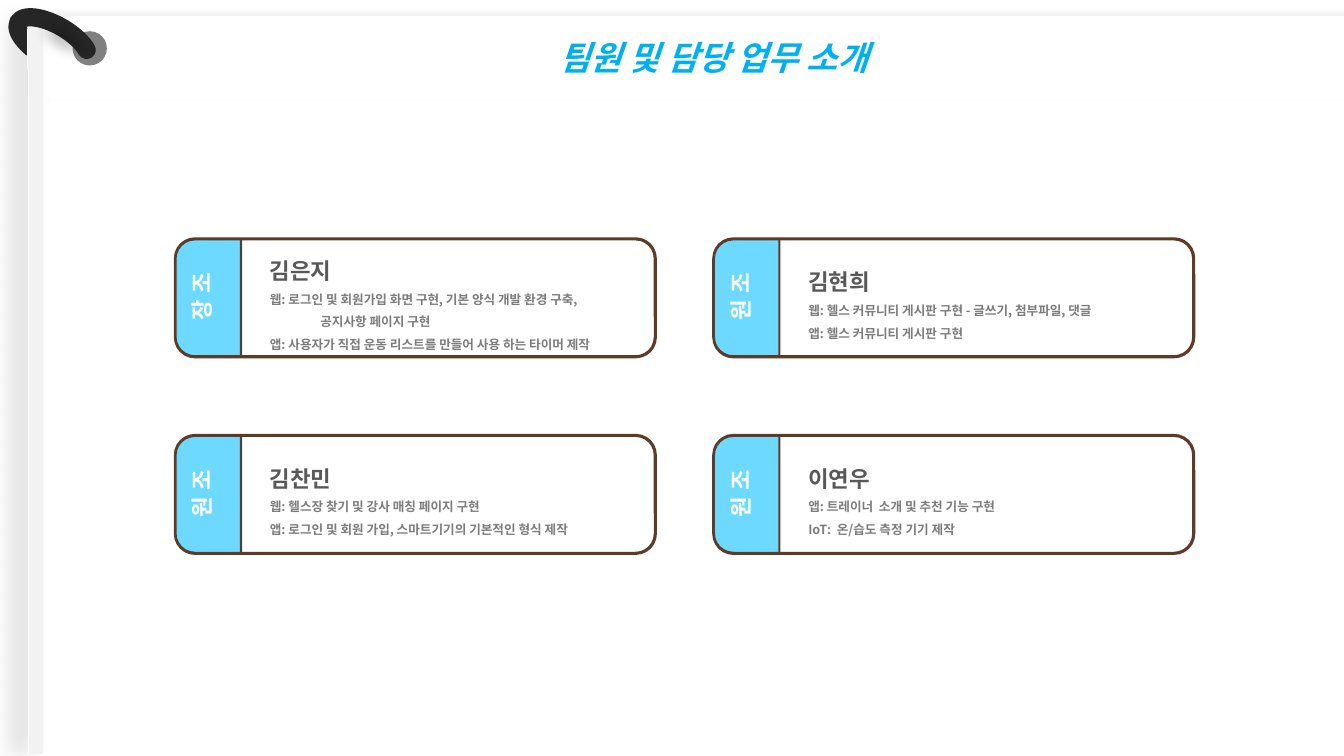
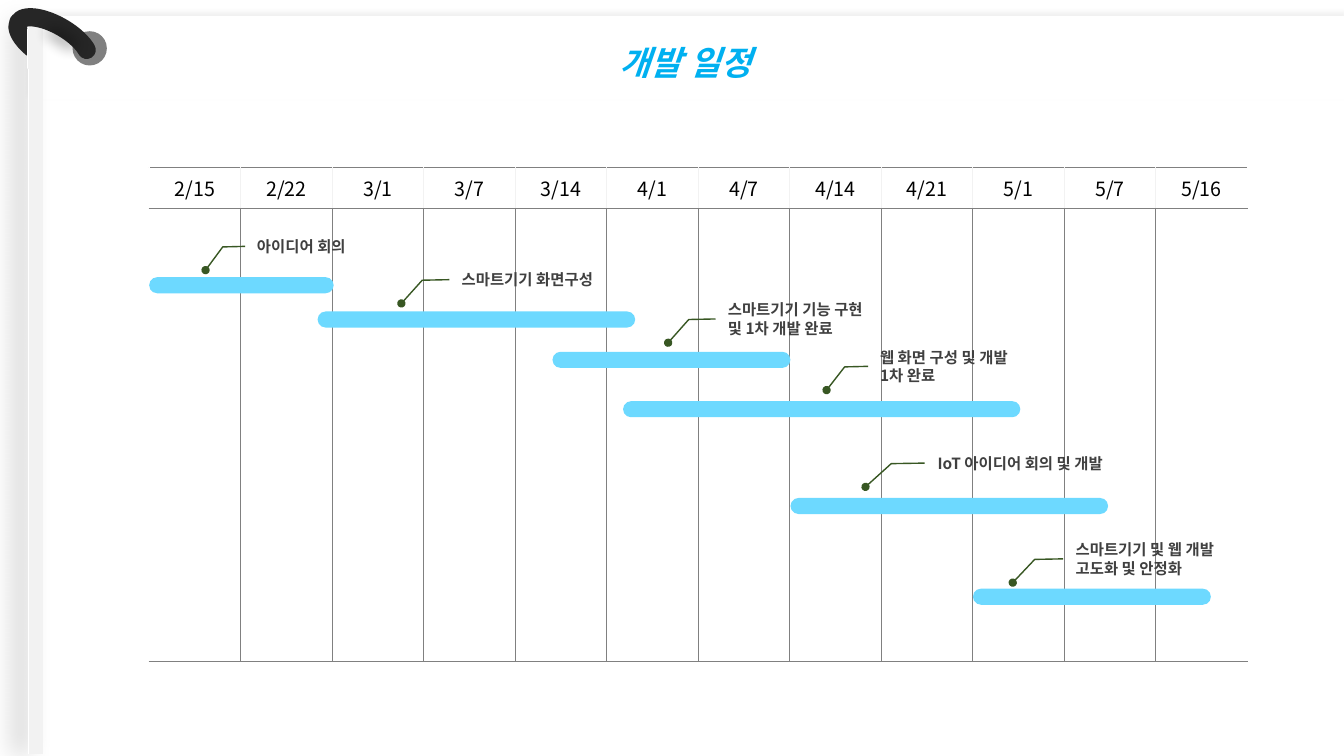
from lxml import etree
from pptx import Presentation
from pptx.dml.color import RGBColor
from pptx.enum.dml import MSO_PATTERN
from pptx.enum.shapes import MSO_SHAPE
from pptx.enum.text import MSO_ANCHOR, PP_ALIGN
from pptx.oxml.ns import qn
from pptx.util import Inches, Pt

RECT = MSO_SHAPE.RECTANGLE
OVAL = MSO_SHAPE.OVAL
ARC = MSO_SHAPE.ARC
ROUND = MSO_SHAPE.ROUNDED_RECTANGLE
ROUND_TOP = MSO_SHAPE.ROUND_2_SAME_RECTANGLE
CALLOUT = MSO_SHAPE.LINE_CALLOUT_2_NO_BORDER
STRIPES = MSO_PATTERN.DARK_VERTICAL
LEFT, CENTER = PP_ALIGN.LEFT, PP_ALIGN.CENTER
MIDDLE = MSO_ANCHOR.MIDDLE

FONT = "Noto Sans CJK KR"
WHITE, BLACK, PALE, GRAY = "FFFFFF", "000000", "F2F2F2", "808080"
TITLE, SKY, BROWN, GREEN = "00B0F0", "6DD9FF", "5E3B27", "385723"
RING, NAME, TASK, LABEL = "262626", "595959", "7C7C7C", "404040"

CARD_W, CARD_H = 4.76, 1.17
CARD_LEFT, CARD_TOP = 1.74, 2.37
CARD_DX, CARD_DY = 5.34, 1.95
MEMBERS = [
    ("조장", "김은지", ["웹: 로그인 및 회원가입 화면 구현, 기본 양식 개발 환경 구축,",
                    "\t공지사항 페이지 구현",
                    "앱: 사용자가 직접 운동 리스트를 만들어 사용 하는 타이머 제작"]),
    ("조원", "김현희", ["웹: 헬스 커뮤니티 게시판 구현 - 글쓰기, 첨부파일, 댓글",
                    "앱: 헬스 커뮤니티 게시판 구현"]),
    ("조원", "김찬민", ["웹: 헬스장 찾기 및 강사 매칭 페이지 구현",
                    "앱: 로그인 및 회원 가입, 스마트기기의 기본적인 형식 제작"]),
    ("조원", "이연우", ["앱: 트레이너  소개 및 추천 기능 구현",
                    "IoT:  온/습도 측정 기기 제작"]),
]

DATES = ["2/15", "2/22", "3/1", "3/7", "3/14", "4/1",
         "4/7", "4/14", "4/21", "5/1", "5/7", "5/16"]
CHART_BOX = (1.48, 1.66, 10.89, 4.9)
HEADER_H = 0.41
BAR_H, LABEL_H = 0.16, 0.27
LEADER = (0.499, -0.014, 0.519, -0.171, 1.372, -0.292)
STAGES = [
    ("아이디어 회의", (0, 1.09, 1.83), (0.97, 0.65, 1.41)),
    ("스마트기기 화면구성", (1.67, 1.43, 3.15), (3, 0.98, 1.71)),
    ("스마트기기 기능 구현 및 1차 개발 완료", (4, 1.83, 2.36), (5.64, 1.37, 1.69)),
    ("웹 화면 구성 및 개발 1차 완료", (4.7, 2.32, 3.94), (7.15, 1.84, 1.48)),
    ("IoT 아이디어 회의 및 개발", (6.36, 3.28, 3.15), (7.72, 2.8, 2.11)),
    ("스마트기기 및 웹 개발 고도화 및 안정화", (8.17, 4.18, 2.36), (9.09, 3.75, 1.8)),
]


def rgb(color):
    return RGBColor.from_string(color)


def add_xml(parent, tag, **attrs):
    el = etree.SubElement(parent, qn(tag))
    for key, value in attrs.items():
        el.set(key, str(value))
    return el


def add_text(p, text, size=11, color=BLACK, bold=False, italic=False,
             align=LEFT, spacing=None):
    p.alignment = align
    if spacing:
        p.line_spacing = spacing
    r = p.add_run()
    r.text = text
    f = r.font
    f.size, f.bold, f.italic, f.name = Pt(size), bold, italic, FONT
    f.color.rgb = rgb(color)
    add_xml(r._r.get_or_add_rPr(), "a:ea", typeface=FONT)


def add_box(s, kind, box, fill=None, line=None, width=1, rot=0, adj=(), stripes=False):
    sp = s.shapes.add_shape(kind, *[Inches(v) for v in box])
    sp.shadow.inherit = False
    sp.rotation = rot
    for i, value in enumerate(adj):
        sp.adjustments[i] = value
    if stripes:
        sp.fill.patterned()
        sp.fill.pattern = STRIPES
        sp.fill.fore_color.rgb = rgb(PALE)
        sp.fill.back_color.rgb = rgb(WHITE)
    elif fill:
        sp.fill.solid()
        sp.fill.fore_color.rgb = rgb(fill)
    else:
        sp.fill.background()
    if line:
        sp.line.color.rgb = rgb(line)
        sp.line.width = Pt(width)
    else:
        sp.line.fill.background()
    return sp


def effects(sp):
    return sp._element.spPr.find(qn("a:effectLst"))


def add_shadow(sp, alpha, blur, dist, angle):
    shadow = add_xml(effects(sp), "a:outerShdw", blurRad=Pt(blur), dist=Pt(dist),
                     dir=angle * 60000, algn="ctr", rotWithShape=0)
    color = add_xml(shadow, "a:srgbClr", val=BLACK)
    add_xml(color, "a:alpha", val=alpha * 1000)


def add_binder(s):
    page = add_box(s, RECT, (0.28, 0.16, 13.06, 0.83), WHITE)
    add_shadow(page, 5, 4, 3, 270)
    spine = add_box(s, RECT, (0.28, 0.2, 0.14, 7.28), stripes=True)
    add_shadow(spine, 20, 18, 11, 180)
    add_box(s, OVAL, (0.72, 0.31, 0.34, 0.34), GRAY)
    ring = add_box(s, ARC, (0.13, 0.25, 0.8, 0.34), line=RING, width=13, rot=30,
                   adj=(80.982, 205.722))
    ring.line._get_or_add_ln().set("cap", "rnd")
    add_box(s, RECT, (0.27, 0.29, 0.14, 0.39), stripes=True)
    shade = add_box(s, OVAL, (0.23, 0.13, 0.77, 0.51), BLACK, rot=22.4)
    color = shade._element.spPr.find(qn("a:solidFill"))[0]
    add_xml(color, "a:alpha", val=30000)
    add_xml(effects(shade), "a:softEdge", rad=Pt(10))


def add_slide(prs, title, box):
    s = prs.slides.add_slide(prs.slide_layouts[5])
    add_binder(s)
    sp = s.shapes.title
    s.shapes._spTree.append(sp._element)
    sp.left, sp.top, sp.width, sp.height = [Inches(v) for v in box]
    tf = sp.text_frame
    tf.word_wrap = True
    tf.vertical_anchor = MIDDLE
    add_text(tf.paragraphs[0], title, size=24, color=TITLE, bold=True,
             italic=True, align=CENTER)
    return s


def add_card(s, x, y, role, name, tasks):
    card = add_box(s, ROUND, (x, y, CARD_W, CARD_H), WHITE, BROWN, 2.25)
    tf = card.text_frame
    tf.margin_left = Inches(0.88)
    add_text(tf.paragraphs[0], name, size=16, color=NAME, bold=True, spacing=1.5)
    for task in tasks:
        add_text(tf.add_paragraph(), task, size=9, color=TASK, bold=True, spacing=1.5)
    tab_w, tab_h = 1.16, 0.65
    tab = add_box(s, ROUND_TOP,
                  (x + (tab_h - tab_w) / 2, y + (CARD_H - tab_h) / 2, tab_w, tab_h),
                  SKY, BROWN, 1.5, rot=270, adj=(0.296, 0))
    tab._element.spPr.find(qn("a:xfrm")).set("flipH", "1")
    tf = tab.text_frame
    tf._txBody.bodyPr.set("vert", "eaVert")
    add_text(tf.paragraphs[0], role, size=16, color=WHITE, bold=True, align=CENTER)


def add_border(cell, side, color):
    ln = add_xml(cell._tc.get_or_add_tcPr(), "a:ln" + side, w=Pt(0.5))
    add_xml(add_xml(ln, "a:solidFill"), "a:srgbClr", val=color)


def add_calendar(s, box):
    x, y, w, h = [Inches(v) for v in box]
    last = len(DATES) - 1
    tbl = s.shapes.add_table(2, len(DATES), x, y, w, h).table
    tbl.first_row = tbl.horz_banding = False
    tbl.rows[0].height = Inches(HEADER_H)
    tbl.rows[1].height = h - Inches(HEADER_H)
    for col, date in enumerate(DATES):
        tbl.columns[col].width = w // len(DATES)
        for row, inner in enumerate((PALE, GRAY)):
            cell = tbl.cell(row, col)
            if col > 0:
                add_border(cell, "L", inner)
            if col < last:
                add_border(cell, "R", inner)
            add_border(cell, "T", GRAY)
            add_border(cell, "B", GRAY)
            cell.fill.background()
        head = tbl.cell(0, col)
        head.vertical_anchor = MIDDLE
        add_text(head.text_frame.paragraphs[0], date, size=14, align=CENTER)


def add_stage(s, x, y, text, bar, label):
    bx, by, bw = bar
    lx, ly, lw = label
    add_box(s, ROUND, (x + bx, y + by, bw, BAR_H), SKY, adj=(0.5,))
    note = add_box(s, CALLOUT, (x + lx, y + ly, lw, LABEL_H), line=GREEN, adj=LEADER)
    add_xml(note.line._get_or_add_ln(), "a:tailEnd", type="oval")
    add_text(note.text_frame.paragraphs[0], text, color=LABEL, bold=True)


def build_team(prs):
    s = add_slide(prs, "팀원 및 담당 업무 소개", (5.04, 0.32, 4.08, 0.5))
    for i, member in enumerate(MEMBERS):
        row, col = divmod(i, 2)
        add_card(s, CARD_LEFT + col * CARD_DX, CARD_TOP + row * CARD_DY, *member)


def build_schedule(prs):
    s = add_slide(prs, "개발 일정", (5.8, 0.37, 2, 0.5))
    add_calendar(s, CHART_BOX)
    for stage in STAGES:
        add_stage(s, CHART_BOX[0], CHART_BOX[1], *stage)


def main():
    prs = Presentation()
    prs.slide_width, prs.slide_height = Inches(13.33), Inches(7.5)
    build_team(prs)
    build_schedule(prs)
    prs.save("out.pptx")


if __name__ == "__main__":
    main()
